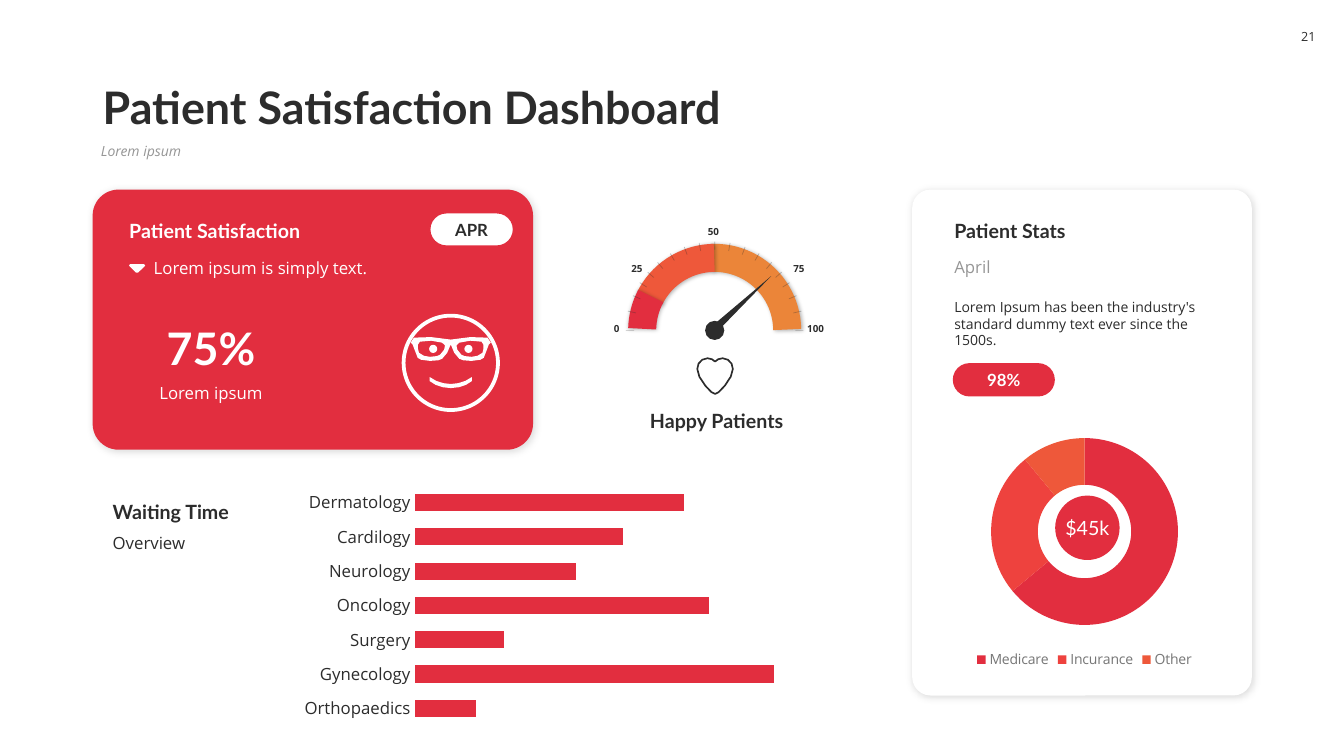
from math import cos, radians, sin

from lxml.etree import SubElement
from pptx import Presentation
from pptx.chart.data import CategoryChartData
from pptx.dml.color import RGBColor
from pptx.enum.chart import XL_CHART_TYPE, XL_LEGEND_POSITION, XL_TICK_LABEL_POSITION, XL_TICK_MARK
from pptx.enum.shapes import MSO_CONNECTOR, MSO_SHAPE
from pptx.enum.text import MSO_ANCHOR, MSO_AUTO_SIZE, PP_ALIGN
from pptx.oxml.ns import qn
from pptx.util import Pt

# Content
RED, CORAL, ORANGE, AMBER = "E22E3F", "EE423E", "EE583A", "EB8539"
INK, GREY, LEGEND_GREY, WHITE = "2C2C2C", "969696", "767676", "FFFFFF"
HEAD, BODY = "Lato", "Open Sans"
LEFT, CENTER, RIGHT = PP_ALIGN.LEFT, PP_ALIGN.CENTER, PP_ALIGN.RIGHT
TOP, MIDDLE, BOTTOM = MSO_ANCHOR.TOP, MSO_ANCHOR.MIDDLE, MSO_ANCHOR.BOTTOM

TITLE = "Patient Satisfaction Dashboard"
# text, (left, top, width, height), font, size, colour, bold, alignment, anchor
LABELS = [
    ("75%", (92, 225, 117.4, 46), HEAD, 32, WHITE, True, CENTER, BOTTOM),
    ("Lorem ipsum", (92, 270, 117.4, 21.6), BODY, 12, WHITE, False, CENTER, TOP),
    ("Patient Satisfaction", (85.2, 152, 180.7, 24.5), HEAD, 14, WHITE, True, LEFT, BOTTOM),
    ("Lorem ipsum is simply text.", (102.7, 180.4, 264, 21.6), BODY, 12, WHITE, False, LEFT, TOP),
    ("Happy Patients", (416.9, 288, 190, 24.5), HEAD, 14, INK, True, CENTER, MIDDLE),
    ("Waiting Time", (73.4, 352.8, 206, 24.5), HEAD, 14, INK, True, LEFT, BOTTOM),
    ("Overview", (73.4, 377.3, 206, 21.6), BODY, 12, INK, False, LEFT, TOP),
    ("Patient Stats", (674.6, 152, 213, 24.5), HEAD, 14, INK, True, LEFT, BOTTOM),
    ("April", (674.6, 180, 213, 21.6), BODY, 12, GREY, False, LEFT, TOP),
    ("Lorem Ipsum has been the industry's standard dummy text ever since the 1500s.",
     (674.6, 209.5, 213, 31.7), BODY, 10, INK, False, LEFT, TOP),
    ("0", (420.8, 226.8, 28.7, 15.8), BODY, 7, INK, True, RIGHT, MIDDLE),
    ("25", (437.2, 183.6, 28.8, 15.8), BODY, 7, INK, True, RIGHT, MIDDLE),
    ("50", (495, 157, 29, 15.8), BODY, 7, INK, True, CENTER, BOTTOM),
    ("75", (559.6, 183.6, 28.8, 15.8), BODY, 7, INK, True, LEFT, MIDDLE),
    ("100", (569.5, 226.8, 32.4, 15.8), BODY, 7, INK, True, LEFT, MIDDLE),
]
WAITING = [("Dermatology", 75), ("Cardilogy", 58), ("Neurology", 45), ("Oncology", 82),
           ("Surgery", 25), ("Gynecology", 100), ("Orthopaedics", 17)]
PAYERS = [("Medicare", 64, RED), ("Incurance", 25, CORAL), ("Other", 11, ORANGE)]

# Gauge: start angle, end angle, colour
GAUGE_CENTER, GAUGE_RADIUS = (510.5, 236), 51.8
GAUGE_ARCS = [(267.6, 359.3, AMBER), (206.5, 269.6, ORANGE), (181.3, 208.2, RED)]
TICK_ANGLES = (0, 12.5, 23, 32.5, 41, 50, 60, 70, 80, 90)
TICK_OUTER, TICK_INNER = 63.4, 57.6

# Right halves of the glasses, mouth and heart, and one lens
FACE_CENTER, HEART_CENTER = (322, 259.2), (510.8, 268.6)
GLASSES_HALF = [(0, -16.6), (14, -18.4), (26.3, -18), (28.6, -14.4), (27.2, -13), (25, -7.2),
                (23.6, -3.6), (21.2, -2.2), (14.8, -1.4), (9, -1.8), (6.1, -2.9), (2.5, -7.2),
                (0.4, -12.2), (0, -13)]
LENS = [(23.4, -10.1), (22.7, -7.2), (19.1, -5), (14.8, -4.3), (10, -4.8), (7.6, -5.8),
        (4.7, -9.4), (4.1, -12.4), (6.1, -14.4), (14, -15.8), (22, -15.1), (23.4, -13)]
MOUTH_HALF = [(0, 15.1), (5.3, 14.5), (10.4, 12.9), (15.1, 10.1), (15.1, 13),
              (10.9, 15.7), (5.8, 17.4), (0, 18)]
HEART_HALF = [(0, -10.3), (2.3, -12), (5.4, -12.7), (9.2, -11.6), (11.8, -8.8), (12.7, -5),
              (11.2, 0.5), (7, 6.9), (2.6, 11.5), (0, 12.8)]
CARET = [(103, 188.7), (92.9, 188.7), (92.2, 189.8), (97.2, 194.8), (98.6, 194.8), (103.7, 189.8)]

prs = Presentation()
prs.slide_width, prs.slide_height = Pt(960), Pt(540)
slide = prs.slides.add_slide(prs.slide_layouts[5])
shapes = slide.shapes


def rgb(color):
    return RGBColor.from_string(color)


def set_font(font, name, size, color, bold=False, italic=False):
    font.name, font.size, font.bold, font.italic = name, Pt(size), bold, italic
    font.color.rgb = rgb(color)


def write(shape, text, name, size, color, bold=False, align=LEFT, anchor=TOP,
          italic=False, inset=None, wrap=True):
    frame = shape.text_frame
    frame.auto_size, frame.word_wrap, frame.vertical_anchor = MSO_AUTO_SIZE.NONE, wrap, anchor
    if inset is not None:
        frame.margin_left = frame.margin_right = frame.margin_top = frame.margin_bottom = Pt(inset)
    paragraph = frame.paragraphs[0]
    paragraph.alignment = align
    run = paragraph.add_run()
    run.text = text
    set_font(run.font, name, size, color, bold, italic)
    return paragraph


def paint(shape, fill=None, line=None, width=1, shadow=None):
    """Set fill and line; shadow is (opacity %, blur, distance)."""
    shape.shadow.inherit = False
    if fill:
        shape.fill.solid()
        shape.fill.fore_color.rgb = rgb(fill)
    else:
        shape.fill.background()
    if line:
        shape.line.color.rgb, shape.line.width = rgb(line), Pt(width)
    else:
        shape.line.fill.background()
    if shadow:
        opacity, blur, distance = shadow
        effects = shape._element.spPr.find(qn("a:effectLst"))
        outer = SubElement(effects, qn("a:outerShdw"), blurRad=str(Pt(blur)),
                           dist=str(Pt(distance)), dir="2700000", algn="tl", rotWithShape="0")
        tint = SubElement(outer, qn("a:srgbClr"), val="000000")
        SubElement(tint, qn("a:alpha"), val=str(opacity * 1000))
    return shape


def add(preset, box, adjust=(), **look):
    shape = shapes.add_shape(preset, *map(Pt, box))
    for i, value in enumerate(adjust):
        shape.adjustments[i] = value
    return paint(shape, **look)


def disc(center, diameter, **look):
    x, y = center
    return add(MSO_SHAPE.OVAL, (x - diameter / 2, y - diameter / 2, diameter, diameter), **look)


def flip(points):
    return [(-x, y) for x, y in points]


def whole(half):
    return half + flip(half)[-2:0:-1]


def outline(contours, origin=(0, 0), **look):
    placed = [[(Pt(x + origin[0]), Pt(y + origin[1])) for x, y in c] for c in contours]
    builder = shapes.build_freeform(*placed[0][0])
    for i, contour in enumerate(placed):
        if i:
            builder.move_to(*contour[0])
        builder.add_line_segments(contour[1:], close=True)
    return paint(builder.convert_to_shape(), **look)


def add_graph(kind, box, rows):
    data = CategoryChartData()
    data.categories = [row[0] for row in rows]
    data.add_series("Series 1", [row[1] for row in rows])
    chart = shapes.add_chart(kind, *map(Pt, box), data).chart
    chart.has_title = False
    chart.has_legend = False
    return chart


# Heading and page number
title = shapes.title
title.left, title.top, title.width, title.height = Pt(66.2), Pt(41.8), Pt(828), Pt(57.6)
write(title, TITLE, HEAD, 32, INK, True, anchor=BOTTOM).line_spacing = 0.9
subtitle = shapes.add_textbox(Pt(65), Pt(99.4), Pt(829), Pt(26))
write(subtitle, "Lorem ipsum", BODY, 10, GREY, italic=True).line_spacing = 0.9
page = add(MSO_SHAPE.ROUNDED_RECTANGLE, (921.6, 13.3, 26, 25.2), (0.267,), fill=WHITE)
write(page, "21", BODY, 9, INK, align=CENTER, anchor=MIDDLE, inset=0, wrap=False)

# Cards and pills
add(MSO_SHAPE.ROUNDED_RECTANGLE, (66.2, 135.4, 314.6, 185.8), (0.1,), fill=RED, shadow=(15, 6, 1))
add(MSO_SHAPE.ROUNDED_RECTANGLE, (651.6, 135.4, 242.6, 361.4), (0.054,), fill=WHITE, shadow=(15, 6, 1))
for text, box, fill, color in [("APR", (307, 152, 59.8, 23.8), WHITE, INK),
                               ("98%", (680.6, 259.4, 72.9, 23.8), RED, WHITE)]:
    pill = add(MSO_SHAPE.ROUNDED_RECTANGLE, box, (0.5,), fill=fill, line=RED if fill == WHITE else None)
    write(pill, text, HEAD, 12, color, True, CENTER, MIDDLE, inset=0)
outline([CARET], fill=WHITE)

# Smiling face with glasses
disc(FACE_CENTER, 67.4, line=WHITE, width=2.7)
outline([whole(GLASSES_HALF), LENS, flip(LENS)], FACE_CENTER, fill=WHITE)
outline([whole(MOUTH_HALF)], FACE_CENTER, fill=WHITE)
for side in (-1, 1):
    disc((FACE_CENTER[0] + side * 12.6, FACE_CENTER[1] - 10), 5.8, fill=WHITE)

# Gauge
gauge_x, gauge_y = GAUGE_CENTER
gauge_box = (gauge_x - GAUGE_RADIUS, gauge_y - GAUGE_RADIUS, 2 * GAUGE_RADIUS, 2 * GAUGE_RADIUS)
for start, end, color in GAUGE_ARCS:
    add(MSO_SHAPE.ARC, gauge_box, (start * 0.6, end * 0.6), line=color, width=20, shadow=(30, 3, 1))
for angle in TICK_ANGLES + tuple(180 - a for a in TICK_ANGLES[:-1]):
    dx, dy = cos(radians(angle)), -sin(radians(angle))
    ends = [Pt(c + r * d) for r in (TICK_OUTER, TICK_INNER) for c, d in ((gauge_x, dx), (gauge_y, dy))]
    tick = shapes.add_connector(MSO_CONNECTOR.STRAIGHT, *ends)
    tick.line.color.rgb, tick.line.width = rgb(INK), Pt(0.5)
    SubElement(tick._element.spPr.find(".//" + qn("a:srgbClr")), qn("a:alpha"), val="30000")
    SubElement(tick._element.spPr, qn("a:effectLst"))
disc(GAUGE_CENTER, 13.7, fill=INK)
needle = add(MSO_SHAPE.ISOSCELES_TRIANGLE, (526.3, 187.9, 5.8, 59), fill=INK)
needle.rotation = 47
outline([whole(HEART_HALF)], HEART_CENTER, line=INK, width=1.2)

# Waiting time chart
waiting = add_graph(XL_CHART_TYPE.BAR_CLUSTERED, (209.5, 343.2, 402.5, 178.6), WAITING)
set_font(waiting.font, BODY, 12, INK)
departments, minutes = waiting.category_axis, waiting.value_axis
for axis in (departments, minutes):
    axis.major_tick_mark = axis.minor_tick_mark = XL_TICK_MARK.NONE
departments.reverse_order = True
departments.tick_label_position = XL_TICK_LABEL_POSITION.NEXT_TO_AXIS
departments.format.line.fill.background()
minutes.tick_label_position = XL_TICK_LABEL_POSITION.NONE
minutes.visible = minutes.has_major_gridlines = False
minutes.minimum_scale, minutes.maximum_scale = 0, 120
bars = waiting.plots[0]
bars.gap_width, bars.vary_by_categories = 100, False
bars.series[0].format.fill.solid()
bars.series[0].format.fill.fore_color.rgb = rgb(RED)

# Payer chart
payers = add_graph(XL_CHART_TYPE.DOUGHNUT, (661.7, 303, 226, 177.8), PAYERS)
set_font(payers.font, BODY, 10, INK)
payers.has_legend = True
payers.legend.position, payers.legend.include_in_layout = XL_LEGEND_POSITION.BOTTOM, False
set_font(payers.legend.font, BODY, 10, LEGEND_GREY)
ring = payers.plots[0]
ring._element.find(qn("c:holeSize")).set("val", "75")
for i, (_, _, color) in enumerate(PAYERS):
    slice_fill = ring.series[0].points[i].format.fill
    slice_fill.solid()
    slice_fill.fore_color.rgb = rgb(color)
total = disc((776.7, 377), 46, fill=RED)
write(total, "$45k", HEAD, 14, WHITE, align=CENTER, anchor=MIDDLE, inset=0, wrap=False)

# Labels
for text, box, *style in LABELS:
    write(shapes.add_textbox(*map(Pt, box)), text, *style)

prs.save("out.pptx")
